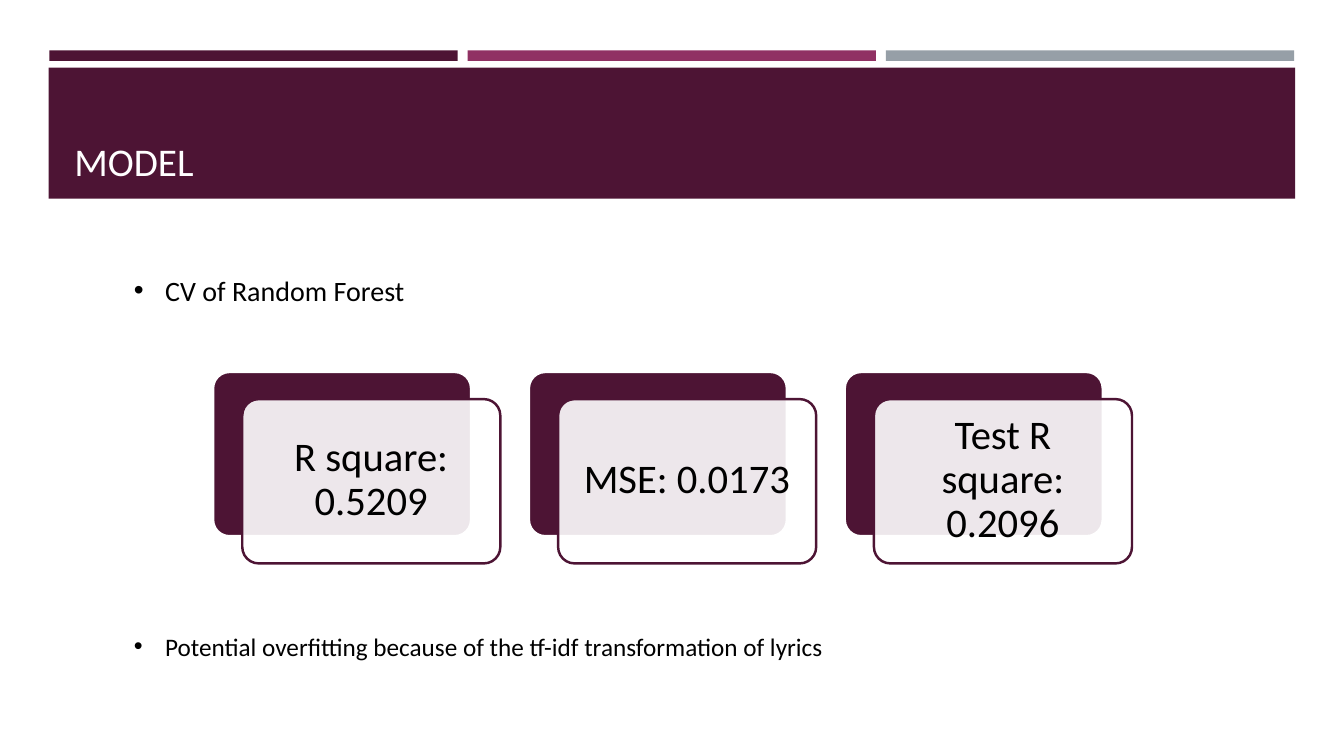
"""Build the model results slide with its header, bullets and three score cards."""
import pptx
import pptx.util
import pptx.dml.color
import pptx.enum.shapes
import pptx.enum.text
import pptx.oxml
import pptx.oxml.ns

RGB = pptx.dml.color.RGBColor
PLUM = RGB(0x4D, 0x14, 0x34)
ROSE = RGB(0x90, 0x31, 0x63)
GREY = RGB(0x96, 0x9F, 0xA7)
WHITE = RGB(0xFF, 0xFF, 0xFF)
CREAM = RGB(0xFF, 0xFE, 0xFF)
BLACK = RGB(0, 0, 0)

KIND = pptx.enum.shapes.MSO_SHAPE
ANCHOR = pptx.enum.text.MSO_ANCHOR
ALIGN = pptx.enum.text.PP_ALIGN
NS = pptx.oxml.ns.nsdecls("a")
COLS, ROWS = 40, 30


class Deck:
    def __init__(self, show, font):
        self.slide = show.slides.add_slide(show.slide_layouts[6])
        self.font = font
        self.col = show.slide_width / COLS
        self.row = show.slide_height / ROWS

    def place(self, x, y, w, h):
        return [round(n) for n in (x * self.col, y * self.row, w * self.col, h * self.row)]

    def block(self, box, fill, kind=KIND.RECTANGLE, line=None, alpha=None):
        shape = self.slide.shapes.add_shape(kind, *self.place(*box))
        shape.shadow.inherit = False
        shape.fill.solid()
        shape.fill.fore_color.rgb = fill
        if line is None:
            shape.line.fill.background()
        else:
            shape.line.color.rgb = line
            shape.line.width = pptx.util.Pt(1.75)
        if alpha is not None:
            tint = shape.fill._xPr.find(".//" + pptx.oxml.ns.qn("a:srgbClr"))
            tint.append(pptx.oxml.parse_xml(f'<a:alpha {NS} val="{alpha * 1000}"/>'))
        return shape

    def panel(self, box, fill, line, alpha=None):
        shape = self.block(box, fill, KIND.ROUNDED_RECTANGLE, line, alpha)
        shape.adjustments[0] = 0.1

    def text(self, box, words, size, color=BLACK, anchor=ANCHOR.TOP, align=ALIGN.LEFT):
        frame = self.slide.shapes.add_textbox(*self.place(*box)).text_frame
        frame.word_wrap = True
        frame.vertical_anchor = anchor
        para = frame.paragraphs[0]
        para.alignment = align
        run = para.add_run()
        run.text = words
        run.font.name = self.font
        run.font.size = pptx.util.Pt(size)
        run.font.color.rgb = color
        return frame

    def bullet(self, box, words, size):
        frame = self.text(box, words, size)
        props = frame.paragraphs[0]._p.get_or_add_pPr()
        dent = pptx.util.Inches(0.31)
        props.set("marL", str(dent))
        props.set("indent", str(-dent))
        for part in ('buFont {} typeface="Arial"', 'buChar {} char="•"'):
            props.append(pptx.oxml.parse_xml(f"<a:{part.format(NS)}/>"))

    def card(self, x, y, words):
        wide, high = 7.68, 6.52
        self.panel((x, y, wide, high), PLUM, WHITE)
        x, y = x + 0.87, y + 1.08
        self.panel((x, y, wide, high), WHITE, PLUM, 90)
        box = (x + 0.14, y + 0.16, wide - 0.28, high - 0.38)
        frame = self.text(box, words, 29, BLACK, ANCHOR.MIDDLE, ALIGN.CENTER)
        frame.paragraphs[0].line_spacing = 0.9
        pad = pptx.util.Inches(0.12)
        frame.margin_left = frame.margin_right = pad
        frame.margin_top = frame.margin_bottom = pad


show = pptx.Presentation()
show.slide_width = pptx.util.Inches(13.33)
show.slide_height = pptx.util.Inches(7.5)
deck = Deck(show, "Calibri")

for i, hue in enumerate((PLUM, ROSE, GREY)):
    deck.block((1.47 + 12.45 * i, 2, 12.15, 0.42), hue)
deck.block((1.45, 2.69, 37.1, 5.2), PLUM)
deck.text((1.92, 3.08, 36.18, 4.44), "MODEL", 28, CREAM, ANCHOR.BOTTOM)

deck.bullet((3.69, 10.64, 22.53, 1.76), "CV of Random Forest", 20)
scores = ("R square: 0.5209", "MSE: 0.0173", "Test R square: 0.2096")
for i, words in enumerate(scores):
    deck.card(6.34 + 9.4 * i, 14.76, words)
deck.bullet((3.69, 24.84, 22.53, 1.6),
            "Potential overfitting because of the tf-idf transformation of lyrics", 18)

show.save("out.pptx")
